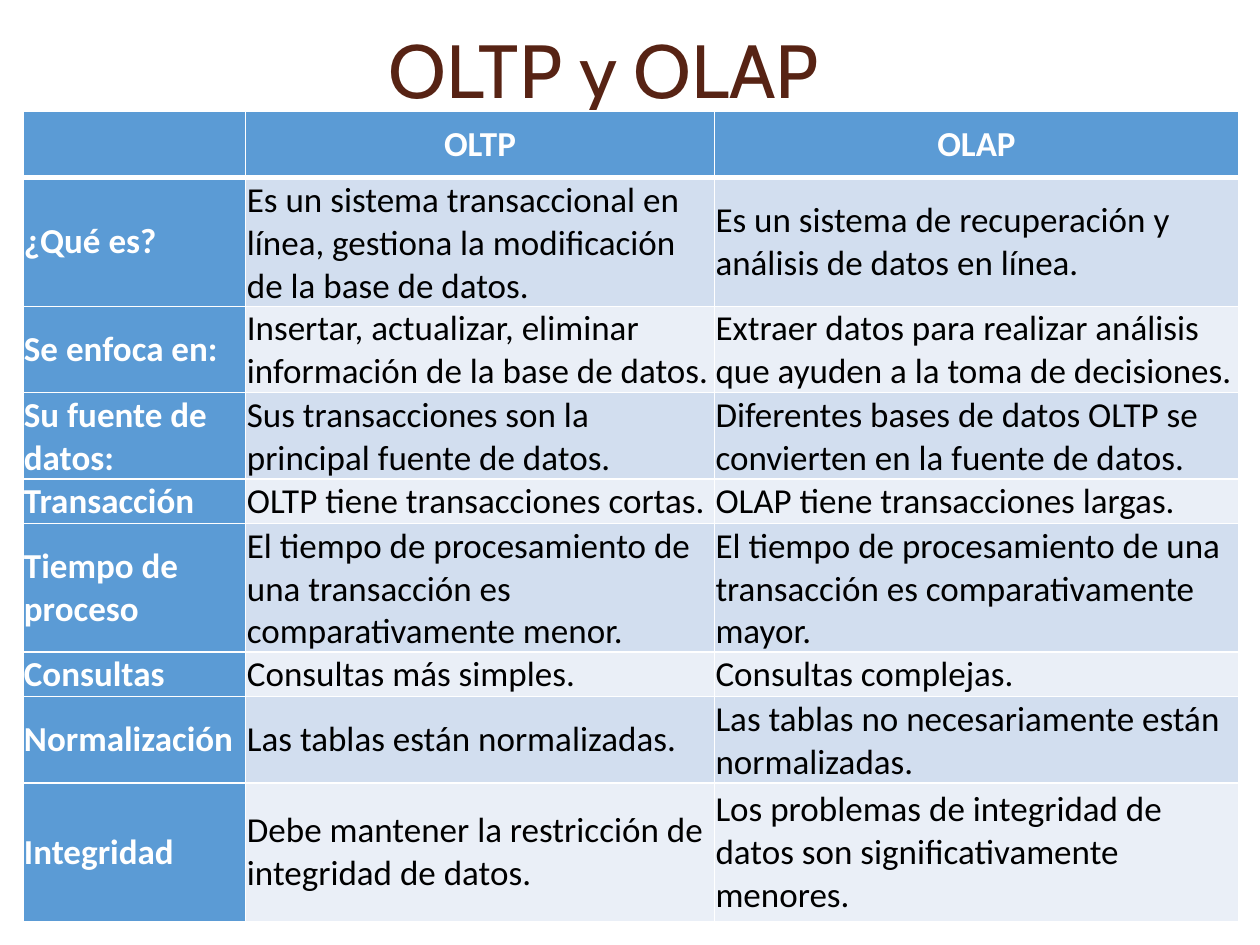
from dataclasses import dataclass

from lxml.etree import SubElement
from pptx import Presentation
from pptx.dml.color import RGBColor
from pptx.enum.text import MSO_ANCHOR, PP_ALIGN
from pptx.oxml.ns import qn
from pptx.util import Pt


@dataclass(frozen=True)
class Theme:
    title: str = "572314"
    head: str = "5B9BD5"
    bands: tuple = ("D2DEEF", "EAEFF7")
    light: str = "FFFFFF"
    dark: str = "000000"
    title_font: str = "Cabin"
    font: str = "Calibri"
    title_size: float = 43
    size: float = 20


THEME = Theme()
TITLE_BOX = (49.7, 0, 590.4, 78.5)
TABLE_BOX = (13, 63.4, 694.8, 463.7)
WIDTHS = (127.4, 267.8, 299.6)
HEIGHTS = (38.2, 59.8, 39.6, 39.6, 20.2, 56.2, 20.2, 39.6, 79.2)
ROWS = (
    ("", "OLTP", "OLAP"),
    ("¿Qué es?",
     "Es un sistema transaccional en línea, gestiona la modificación de la base de datos.",
     "Es un sistema de recuperación y análisis de datos en línea."),
    ("Se enfoca en:",
     "Insertar, actualizar, eliminar información de la base de datos.",
     "Extraer datos para realizar análisis que ayuden a la toma de decisiones."),
    ("Su fuente de datos:",
     "Sus transacciones son la principal fuente de datos.",
     "Diferentes bases de datos OLTP se convierten en la fuente de datos."),
    ("Transacción",
     "OLTP tiene transacciones cortas.",
     "OLAP tiene transacciones largas."),
    ("Tiempo de proceso",
     "El tiempo de procesamiento de una transacción es comparativamente menor.",
     "El tiempo de procesamiento de una transacción es comparativamente mayor."),
    ("Consultas", "Consultas más simples.", "Consultas complejas."),
    ("Normalización",
     "Las tablas están normalizadas.",
     "Las tablas no necesariamente están normalizadas."),
    ("Integridad",
     "Debe mantener la restricción de integridad de datos.",
     "Los problemas de integridad de datos son significativamente menores."),
)


def assign(item, values):
    for name, value in values.items():
        setattr(item, name, value)


def write(para, text, align, color, **font):
    para.alignment = align
    run = para.add_run()
    run.text = text
    assign(run.font, font)
    run.font.color.rgb = RGBColor.from_string(color)


def add_title(slide, box, text):
    frame = slide.shapes.add_textbox(*map(Pt, box)).text_frame
    assign(frame, {"word_wrap": True, "vertical_anchor": MSO_ANCHOR.MIDDLE})
    write(frame.paragraphs[0], text, PP_ALIGN.CENTER, THEME.title,
          name=THEME.title_font, size=Pt(THEME.title_size))


def add_edges(cell, widths):
    """Draw the cell's borders; widths maps a side (L, R, T, B) to points."""
    props = cell._tc.get_or_add_tcPr()
    for side, width in widths.items():
        line = SubElement(props, qn(f"a:ln{side}"), w=str(Pt(width)))
        fill = SubElement(line, qn("a:solidFill"))
        SubElement(fill, qn("a:srgbClr"), val=THEME.light)


def fill_cell(cell, text, row, col):
    top = row == 0
    head = top or col == 0
    add_edges(cell, {"L": 1, "R": 1, "T": 3 if row == 1 else 1, "B": 3 if top else 1})
    cell.fill.solid()
    color = THEME.head if head else THEME.bands[(row - 1) % 2]
    cell.fill.fore_color.rgb = RGBColor.from_string(color)
    sides = ("left", "top", "right", "bottom")
    assign(cell, {f"margin_{side}": Pt(0.7) for side in sides})
    cell.vertical_anchor = MSO_ANCHOR.MIDDLE
    if text:
        write(cell.text_frame.paragraphs[0], text,
              PP_ALIGN.CENTER if top else PP_ALIGN.LEFT,
              THEME.light if head else THEME.dark,
              name=THEME.font, size=Pt(THEME.size), bold=head)


def add_grid(slide, box, rows):
    frame = slide.shapes.add_table(len(rows), len(WIDTHS), *map(Pt, box))
    table = frame.table
    for column, width in zip(table.columns, WIDTHS):
        column.width = Pt(width)
    for line, height in zip(table.rows, HEIGHTS):
        line.height = Pt(height)
    frame.height = Pt(box[3])
    for row, texts in enumerate(rows):
        for col, text in enumerate(texts):
            fill_cell(table.cell(row, col), text, row, col)


def main():
    deck = Presentation()
    assign(deck, {"slide_width": Pt(720), "slide_height": Pt(540)})
    slide = deck.slides.add_slide(deck.slide_layouts[6])
    add_title(slide, TITLE_BOX, "OLTP y OLAP")
    add_grid(slide, TABLE_BOX, ROWS)
    deck.save("out.pptx")


if __name__ == "__main__":
    main()
